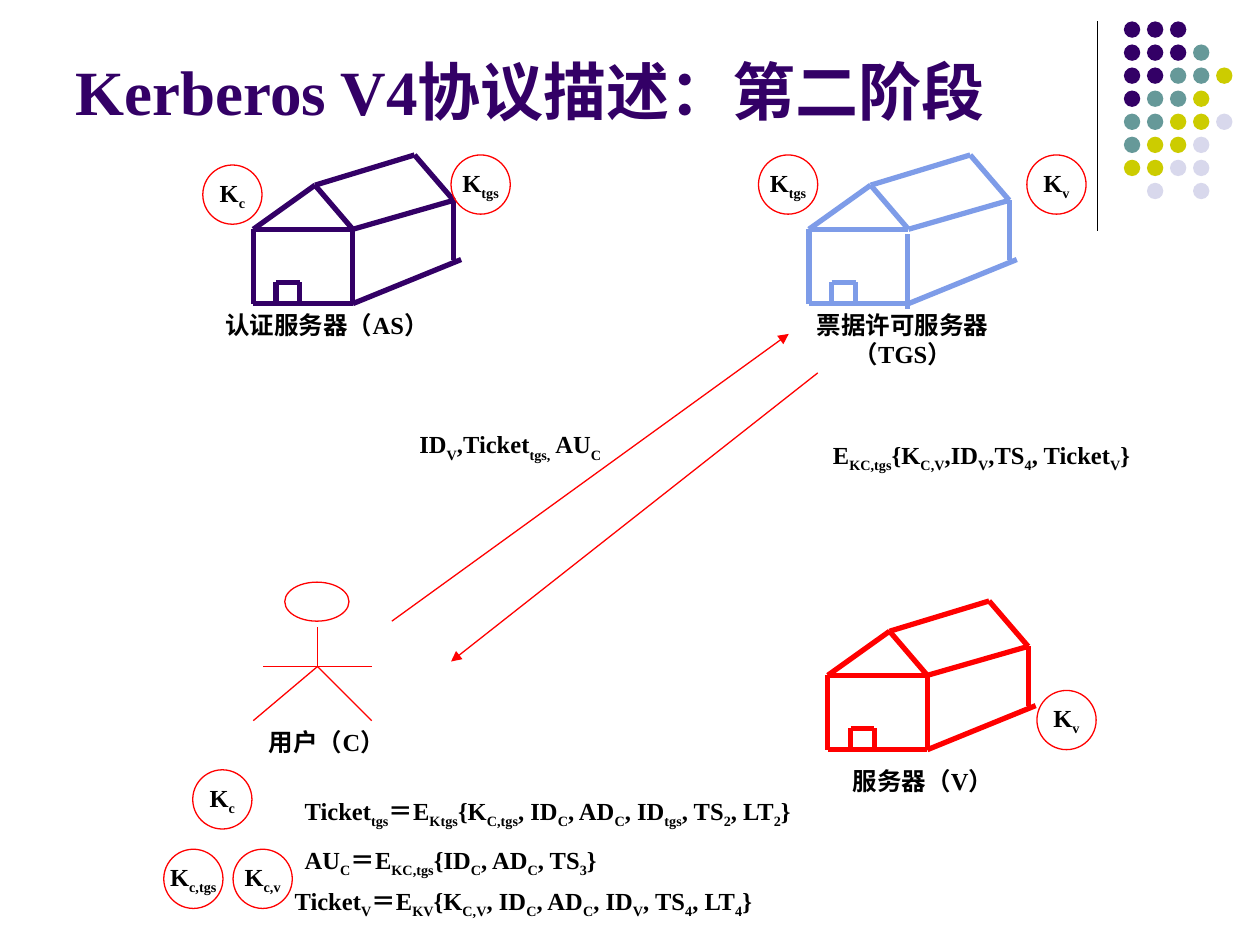
from lxml import etree
from pptx import Presentation
from pptx.dml.color import RGBColor
from pptx.enum.shapes import MSO_CONNECTOR, MSO_SHAPE
from pptx.enum.text import MSO_ANCHOR, MSO_AUTO_SIZE, PP_ALIGN
from pptx.oxml.ns import qn
from pptx.util import Pt

STRAIGHT, OVAL = MSO_CONNECTOR.STRAIGHT, MSO_SHAPE.OVAL
LEFT, CENTER = PP_ALIGN.LEFT, PP_ALIGN.CENTER
TOP, MIDDLE, BOTTOM = MSO_ANCHOR.TOP, MSO_ANCHOR.MIDDLE, MSO_ANCHOR.BOTTOM

PX = 9144  # EMU per px, 100 px to the inch
FONT = "Times New Roman"
COLORS = {
    "purple": "330066", "teal": "669999", "olive": "CCCC00", "lilac": "D8D8EC",
    "blue": "7E9CE8", "red": "FF0000", "black": "000000",
}

# Content: text between ~ marks is subscript
TITLE = "Kerberos V4协议描述：第二阶段"
LABELS = [  # text, left, top, width, height, alignment
    ("认证服务器（AS）", 161, 241, 197, 34, CENTER),
    ("票据许可服务器（TGS）", 618, 241, 197, 57, CENTER),
    ("服务器（V）", 634, 603, 197, 34, CENTER),
    ("用户（C）", 161, 572, 197, 34, CENTER),
    ("ID~V~,Ticket~tgs,~ AU~C~", 295, 336, 220, 37, CENTER),
    ("E~KC,tgs~{K~C,V~,ID~V~,TS~4~, Ticket~V~}", 586, 344, 386, 37, CENTER),
    ("Ticket~tgs~＝E~Ktgs~{K~C,tgs~, ID~C~, AD~C~, ID~tgs~, TS~2~, LT~2~}",
     232, 627, 496, 37, LEFT),
    ("AU~C~＝E~KC,tgs~{ID~C~, AD~C~, TS~3~}", 232, 666, 307, 37, LEFT),
    ("Ticket~V~＝E~KV~{K~C,V~, ID~C~, AD~C~, ID~V~, TS~4~, LT~4~}",
     224, 698, 433, 37, LEFT),
]
KEY_SIZE = 47
KEYS = [  # text, left, top
    ("K~c~", 153, 611), ("K~c~", 161, 131), ("K~tgs~", 602, 123),
    ("K~v~", 823, 548), ("K~tgs~", 358, 123), ("K~v~", 815, 123),
    ("K~c,tgs~", 130, 674), ("K~c,v~", 185, 674),
]
HOUSES = [  # left, top, colour, shift of the front corner edge
    (201, 123, "purple", (0, 0)),
    (642, 123, "blue", (-1, 4)),
    (657, 477, "red", (0, 0)),
]
HOUSE_EDGES = [  # relative to the house's left and top
    (49, 24, 0, 59), (49, 24, 79, 59), (0, 59, 79, 59),
    (49, 24, 128, 0), (128, 0, 159, 36), (79, 59, 159, 36),
    (0, 59, 0, 118), (0, 118, 79, 118), (79, 118, 165, 83), (159, 36, 159, 83),
    (18, 101, 18, 118), (18, 101, 37, 101), (37, 101, 37, 118),
]
FRONT_CORNER = (79, 59, 79, 118)
USER_HEAD = (226, 462, 51, 31)
USER_LIMBS = [(252, 498, 252, 529), (252, 529, 201, 572),
              (252, 529, 295, 572), (209, 529, 295, 529)]
MESSAGES = [(311, 493, 626, 265), (649, 296, 358, 525)]
DOT_COLORS = {"P": "purple", "T": "teal", "Y": "olive", "L": "lilac"}
DOT_ROWS = ["PPP", "PPPT", "PPTTY", "PTTY", "TTYYL", "TYYL", "YYLL", " L L"]
DOT_LEFT, DOT_TOP, DOT_PITCH, DOT_SIZE = 892, 17, 18.3, 13


def rgb(name):
    return RGBColor.from_string(COLORS[name])


def emu(*lengths):
    return [round(length * PX) for length in lengths]


def write_text(shape, text, size=14, color="black", align=CENTER, anchor=TOP, wrap=True):
    frame = shape.text_frame
    frame.auto_size = MSO_AUTO_SIZE.NONE
    frame.word_wrap = wrap
    frame.vertical_anchor = anchor
    paragraph = frame.paragraphs[0]
    paragraph.alignment = align
    for index, part in enumerate(text.split("~")):
        if not part:
            continue
        run = paragraph.add_run()
        run.text = part
        run.font.name = FONT
        run.font.size = Pt(size)
        run.font.bold = True
        run.font.color.rgb = rgb(color)
        if index % 2:
            run._r.get_or_add_rPr().set("baseline", "-25000")


def add_line(slide, start_x, start_y, end_x, end_y, color="red", width=0.75, arrow=False):
    line = slide.shapes.add_connector(STRAIGHT, *emu(start_x, start_y, end_x, end_y))
    line.line.color.rgb = rgb(color)
    line.line.width = Pt(width)
    if arrow:
        etree.SubElement(line.line._get_or_add_ln(), qn("a:tailEnd"), type="triangle")
    etree.SubElement(line._element.spPr, qn("a:effectLst"))


def add_oval(slide, left, top, width, height, fill=None):
    oval = slide.shapes.add_shape(OVAL, *emu(left, top, width, height))
    oval.shadow.inherit = False
    if fill:
        oval.fill.solid()
        oval.fill.fore_color.rgb = rgb(fill)
        oval.line.fill.background()
    else:
        oval.fill.background()
        oval.line.color.rgb = rgb("red")
        oval.line.width = Pt(0.75)
    return oval


def add_house(slide, left, top, color, front_shift):
    shift_x, shift_y = front_shift
    x1, y1, x2, y2 = FRONT_CORNER
    front = (x1 + shift_x, y1 + shift_y, x2 + shift_x, y2 + shift_y)
    for x1, y1, x2, y2 in HOUSE_EDGES + [front]:
        add_line(slide, left + x1, top + y1, left + x2, top + y2, color=color, width=3)


def main():
    presentation = Presentation()
    presentation.slide_width, presentation.slide_height = emu(1000, 750)
    slide = presentation.slides.add_slide(presentation.slide_layouts[5])

    # Corner decoration
    add_line(slide, 871, 17, 871, 183, color="black")
    for row, pattern in enumerate(DOT_ROWS):
        for column, letter in enumerate(pattern):
            if letter in DOT_COLORS:
                add_oval(slide, DOT_LEFT + column * DOT_PITCH, DOT_TOP + row * DOT_PITCH,
                         DOT_SIZE, DOT_SIZE, fill=DOT_COLORS[letter])

    # Title
    title = slide.shapes.title
    title.left, title.top, title.width, title.height = emu(50, 13, 825, 94)
    write_text(title, TITLE, size=36, color="purple", align=LEFT, anchor=BOTTOM)

    # Servers, user and messages
    for house in HOUSES:
        add_house(slide, *house)
    add_oval(slide, *USER_HEAD)
    for limb in USER_LIMBS:
        add_line(slide, *limb)
    for message in MESSAGES:
        add_line(slide, *message, arrow=True)

    # Labels and formulas
    for text, left, top, width, height, align in LABELS:
        box = slide.shapes.add_textbox(*emu(left, top, width, height))
        write_text(box, text, align=align)

    # Keys
    for text, left, top in KEYS:
        key = add_oval(slide, left, top, KEY_SIZE, KEY_SIZE)
        write_text(key, text, anchor=MIDDLE, wrap=False)

    presentation.save("out.pptx")


if __name__ == "__main__":
    main()
